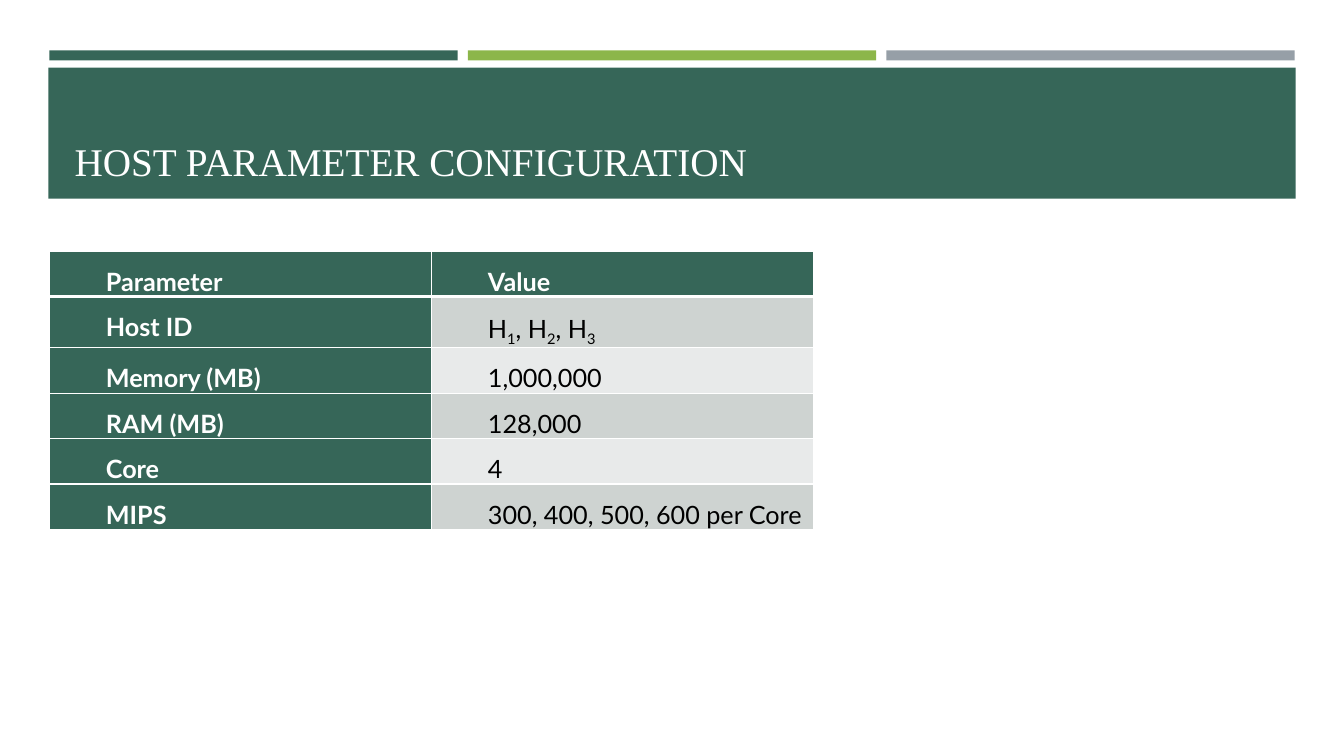
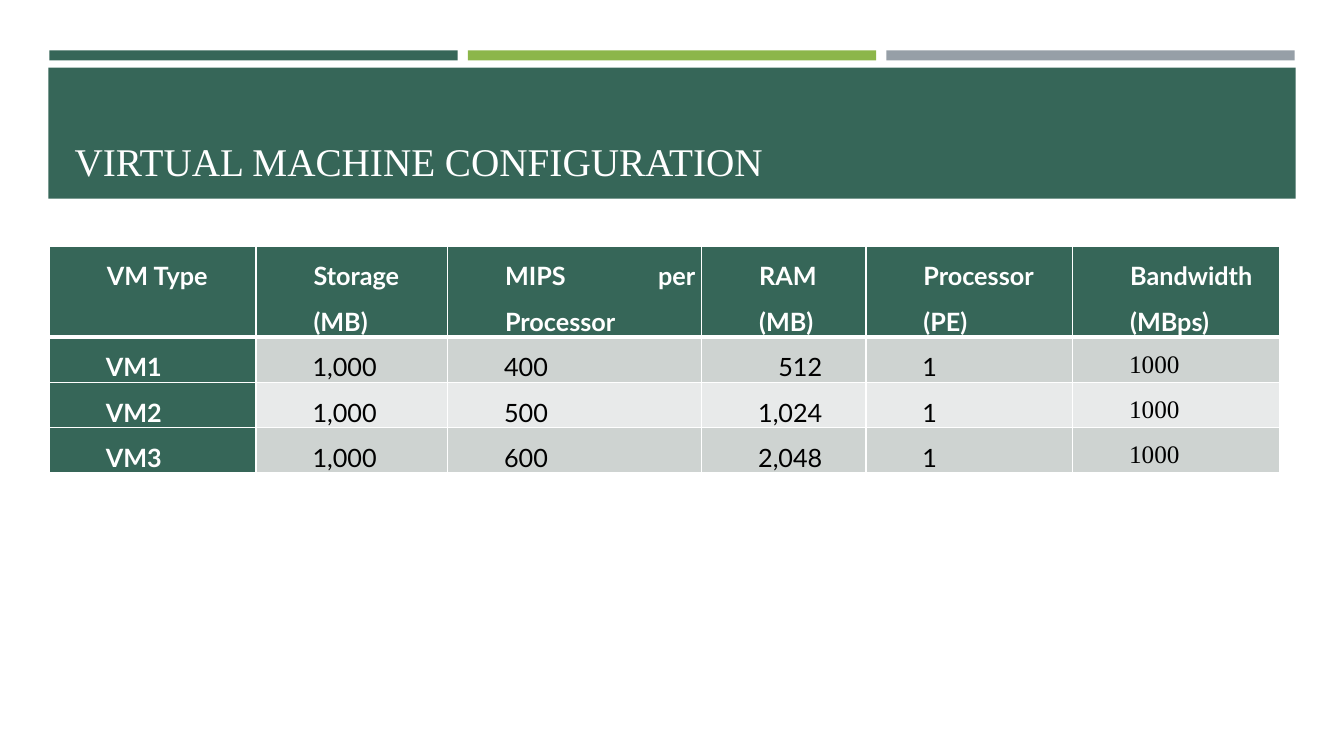
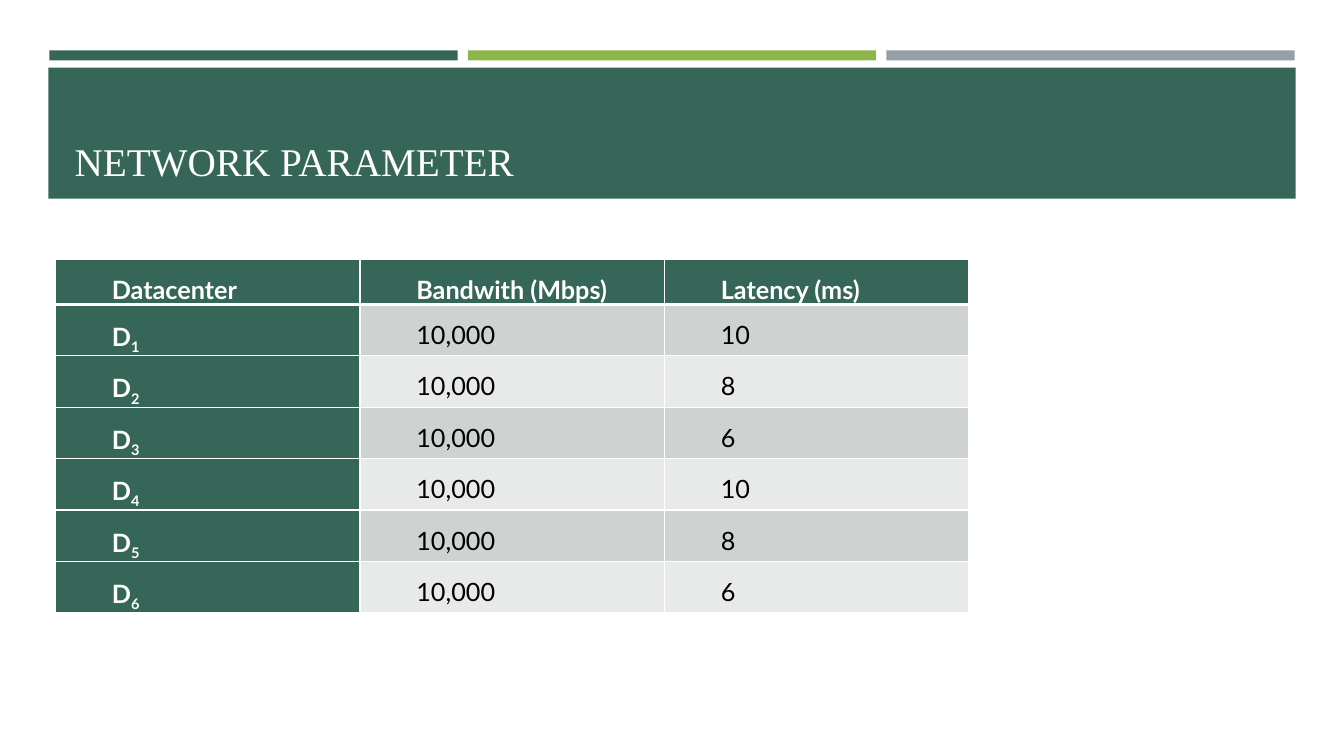
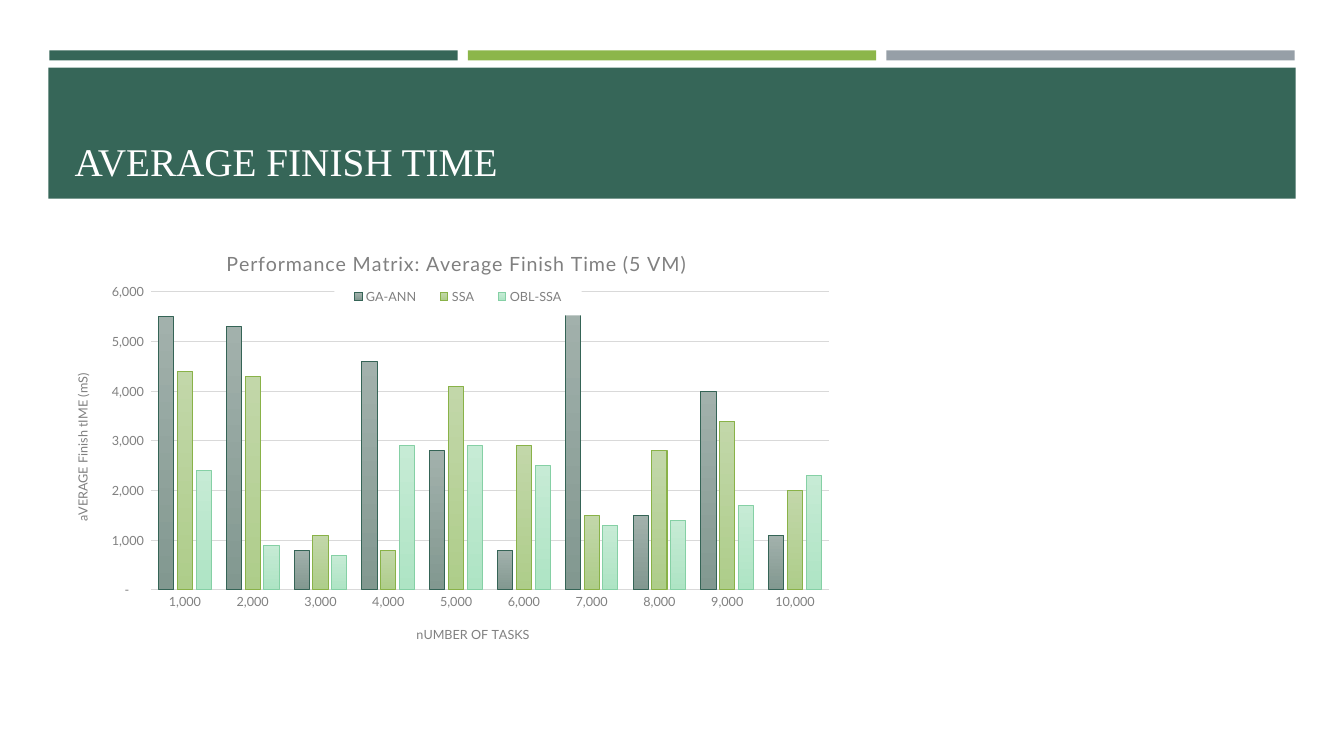
import pptx
import pptx.chart.data
import pptx.dml.color
import pptx.enum.chart
import pptx.enum.shapes
import pptx.enum.text
import pptx.oxml
import pptx.util
from pptx.oxml import ns

Inches, Pt = pptx.util.Inches, pptx.util.Pt
RGBColor = pptx.dml.color.RGBColor
ALIGN = pptx.enum.text.PP_ALIGN

GREEN = RGBColor(0x36, 0x66, 0x58)
LIME = RGBColor(0x8C, 0xB6, 0x4A)
STEEL = RGBColor(0x96, 0x9F, 0xA7)
WHITE = RGBColor(0xFF, 0xFF, 0xFF)
BLACK = RGBColor(0, 0, 0)
GRAY = RGBColor(0x80, 0x80, 0x80)
RULE = RGBColor(0xD9, 0xD9, 0xD9)
ROW_BANDS = [RGBColor(0xCE, 0xD3, 0xD1), RGBColor(0xE8, 0xEA, 0xEA)]
SERIF, SANS = "Times New Roman", "Lato"

LEFT = 0.49
STRIPE, GAP = 4.05, 0.1
INDENT = 0.49


def put_text(tf, text, size=18, font=SANS, color=BLACK, bold=False, align=None):
    """Write text in the first paragraph; parts between ~ marks are subscripts."""
    p = tf.paragraphs[0]
    p.alignment = align
    for i, part in enumerate(text.split("~")):
        if not part:
            continue
        r = p.add_run()
        r.text = part
        r.font.size, r.font.name, r.font.bold = Pt(size), font, bold
        r.font.color.rgb = color
        if i % 2:
            r._r.get_or_add_rPr().set("baseline", "-25000")
    return p


def place(element, index, **box):
    """Give a chart part a fixed layout, as shares of the chart's size."""
    for old in element.findall(ns.qn("c:layout")):
        element.remove(old)
    modes = "".join(f'<c:{k}Mode val="edge"/>' for k in "xy")
    if element.tag == ns.qn("c:plotArea"):
        modes = '<c:layoutTarget val="inner"/>' + modes
    values = "".join(f'<c:{k} val="{v}"/>' for k, v in box.items())
    element.insert(index, pptx.oxml.parse_xml(
        f'<c:layout {ns.nsdecls("c")}><c:manualLayout>{modes}{values}'
        '</c:manualLayout></c:layout>'))


prs = pptx.Presentation()
prs.slide_width, prs.slide_height = Inches(13.33), Inches(7.5)
layout = prs.slide_layouts[5]

# Title style and slides
title = layout.placeholders[0]
title.left, title.top = Inches(0.64), Inches(0.77)
title.width, title.height = Inches(12.06), Inches(1.11)
title.text_frame.vertical_anchor = pptx.enum.text.MSO_ANCHOR.BOTTOM

slides = []
for heading in ["HOST PARAMETER CONFIGURATION", "VIRTUAL MACHINE CONFIGURATION",
                "NETWORK PARAMETER", "AVERAGE FINISH TIME"]:
    s = prs.slides.add_slide(layout)
    put_text(s.shapes.title.text_frame, heading, size=28, font=SERIF,
             color=WHITE, align=ALIGN.LEFT)
    slides.append(s)

# Stripes and title band, held by the layout
bands = [(LEFT + i * (STRIPE + GAP), 0.5, STRIPE, 0.1, color)
         for i, color in enumerate([GREEN, LIME, STEEL])]
bands.append((0.48, 0.67, 12.37, 1.3, GREEN))
for i, (x, y, w, h, color) in enumerate(bands):
    sp = slides[0].shapes.add_shape(pptx.enum.shapes.MSO_SHAPE.RECTANGLE,
                                    Inches(x), Inches(y), Inches(w), Inches(h))
    sp.fill.solid()
    sp.fill.fore_color.rgb = color
    sp.line.fill.background()
    sp.shadow.inherit = False
    sp.element.xpath("p:nvSpPr/p:cNvPr")[0].set("id", str(20 + i))
    layout.shapes.element.insert(2 + i, sp.element)

# Tables: left, top, row height, column widths, rows
tables = [
    (LEFT, 2.49, 0.36, [3.79] * 2, [
        ["Parameter", "Value"],
        ["Host ID", "H~1~, H~2~, H~3~"],
        ["Memory (MB)", "1,000,000"],
        ["RAM (MB)", "128,000"],
        ["Core", "4"],
        ["MIPS", "300, 400, 500, 600 per Core"]]),
    (LEFT, 2.44, 0.36, [2.05, 1.9, 2.52, 1.63, 2.05, 2.05], [
        ["VM Type", "Storage (MB)", "MIPS per Processor", "RAM (MB)",
         "Processor (PE)", "Bandwidth (MBps)"],
        ["VM1", "1,000", "400", "512", "1", "1000"],
        ["VM2", "1,000", "500", "1,024", "1", "1000"],
        ["VM3", "1,000", "600", "2,048", "1", "1000"]]),
    (0.55, 2.57, 0.37, [3.02] * 3, [["Datacenter", "Bandwith (Mbps)", "Latency (ms)"]]
     + [[f"D~{i + 1}~", "10,000", latency]
        for i, latency in enumerate(["10", "8", "6"] * 2)]),
]
for s, (x, y, row_h, widths, rows) in zip(slides, tables):
    table = s.shapes.add_table(len(rows), len(widths), Inches(x), Inches(y),
                               Inches(sum(widths)), Inches(row_h * len(rows))).table
    for column, width in zip(table.columns, widths):
        column.width = Inches(width)
    for i, row in enumerate(rows):
        table.rows[i].height = Inches(row_h)
        for j, text in enumerate(row):
            cell = table.cell(i, j)
            cell.margin_left = cell.margin_right = Inches(0.07)
            cell.margin_top = cell.margin_bottom = 0
            heavy = {0: "B", 1: "T"}.get(i)
            for side in "LRTB":
                cell._tc.get_or_add_tcPr().append(pptx.oxml.parse_xml(
                    f'<a:ln{side} {ns.nsdecls("a")} w="{Pt(3 if side == heavy else 1)}">'
                    f'<a:solidFill><a:srgbClr val="{WHITE}"/></a:solidFill></a:ln{side}>'))
            head = i == 0 or j == 0
            cell.fill.solid()
            cell.fill.fore_color.rgb = GREEN if head else ROW_BANDS[(i - 1) % 2]
            p = put_text(cell.text_frame, text, bold=head,
                         font=SERIF if text == "1000" else SANS,
                         color=WHITE if head else BLACK, align=ALIGN.JUSTIFY)
            p.line_spacing = 1.5
            p.space_before = p.space_after = Pt(6)
            hanging = i == 0 and len(widths) == 6
            first_line = INDENT + 0.2 if text == "512" else INDENT
            pPr = p._p.get_or_add_pPr()
            pPr.set("marL", str(Inches(0.5 if hanging else 0)))
            pPr.set("indent", str(Inches(0 if hanging else first_line)))

# Finish time chart
cd = pptx.chart.data.CategoryChartData()
cd.categories = range(1000, 10001, 1000)
cd.categories.number_format = "#,##0"
series = [
    ("GA-ANN", [5500, 5300, 800, 4600, 2800, 800, 5700, 1500, 4000, 1100],
     RGBColor(0xA2, 0xB1, 0xAC), RGBColor(0x82, 0x98, 0x90), RGBColor(0x35, 0x64, 0x56)),
    ("SSA", [4400, 4300, 1100, 800, 4100, 2900, 1500, 2800, 3400, 2000],
     RGBColor(0xC2, 0xD7, 0xA9), RGBColor(0xAE, 0xCD, 0x8A), RGBColor(0x89, 0xB2, 0x48)),
    ("OBL-SSA", [2400, 900, 700, 2900, 2900, 2500, 1300, 1400, 1700, 2300],
     RGBColor(0xC6, 0xEB, 0xD5), RGBColor(0xAE, 0xE4, 0xC4), RGBColor(0x85, 0xD0, 0xA5)),
]
for name, values, *colors in series:
    cd.add_series(name, values)
chart = slides[3].shapes.add_chart(
    pptx.enum.chart.XL_CHART_TYPE.COLUMN_CLUSTERED, Inches(0.47), Inches(2.25),
    Inches(7.91), Inches(4.62), cd).chart
chart.font.size, chart.font.name = Pt(9), SANS
chart.font.color.rgb = GRAY

plot = chart.plots[0]
plot.gap_width, plot.overlap, plot.vary_by_categories = 100, -24, False
for ser, (name, values, top, bottom, edge) in zip(plot.series, series):
    fill = ser.format.fill
    fill.gradient()
    fill.gradient_angle = 270
    for stop, color in zip(fill.gradient_stops, [top, bottom]):
        stop.color.rgb = color
    ser.format.line.color.rgb = edge
    ser.format.line.width = Pt(0.75)

cat, val = chart.category_axis, chart.value_axis
for axis, number_format in [
        (cat, "#,##0"),
        (val, r'_(* #,##0_);_(* \(#,##0\);_(* "-"??_);_(@_)')]:
    axis.major_tick_mark = axis.minor_tick_mark = pptx.enum.chart.XL_TICK_MARK.NONE
    axis.tick_labels.number_format = number_format
    axis.tick_labels.number_format_is_linked = False
val.minimum_scale, val.maximum_scale, val.major_unit = 0, 6000, 1000
val.format.line.fill.background()
for line in [cat.format.line, val.major_gridlines.format.line]:
    line.color.rgb = RULE
    line.width = Pt(0.75)

p = put_text(chart.chart_title.text_frame,
             "Performance Matrix: Average Finish Time (5 VM)", size=14, color=GRAY)
p.runs[0]._r.get_or_add_rPr().set("spc", "50")
put_text(cat.axis_title.text_frame, "nUMBER OF TASKS", size=9, color=GRAY)
p = put_text(val.axis_title.text_frame, "aVERAGE Finish tIME (mS)", size=9, color=GRAY)
body = p._p.getparent().find(ns.qn("a:bodyPr"))
body.set("rot", "-5400000")
body.set("vert", "horz")

chart.has_legend = True
chart.legend.position = pptx.enum.chart.XL_LEGEND_POSITION.BOTTOM
chart.legend.include_in_layout = False
root = chart.element
legend = root.xpath("c:chart/c:legend")[0]
legend.find(ns.qn("c:overlay")).addnext(pptx.oxml.parse_xml(
    f'<c:spPr {ns.nsdecls("c", "a")}><a:solidFill><a:srgbClr val="{WHITE}"/>'
    '</a:solidFill></c:spPr>'))

place(legend, 1, x=0.36, y=0.11, w=0.31, h=0.08)
place(root.xpath("c:chart/c:plotArea")[0], 0, x=0.13, y=0.14, w=0.85, h=0.64)
place(chart.chart_title.element, 1, x=0.22, y=0.04)
place(cat.axis_title.element, 1, x=0.46, y=0.85)
place(val.axis_title.element, 1, x=0.03, y=0.31)

prs.save("out.pptx")
